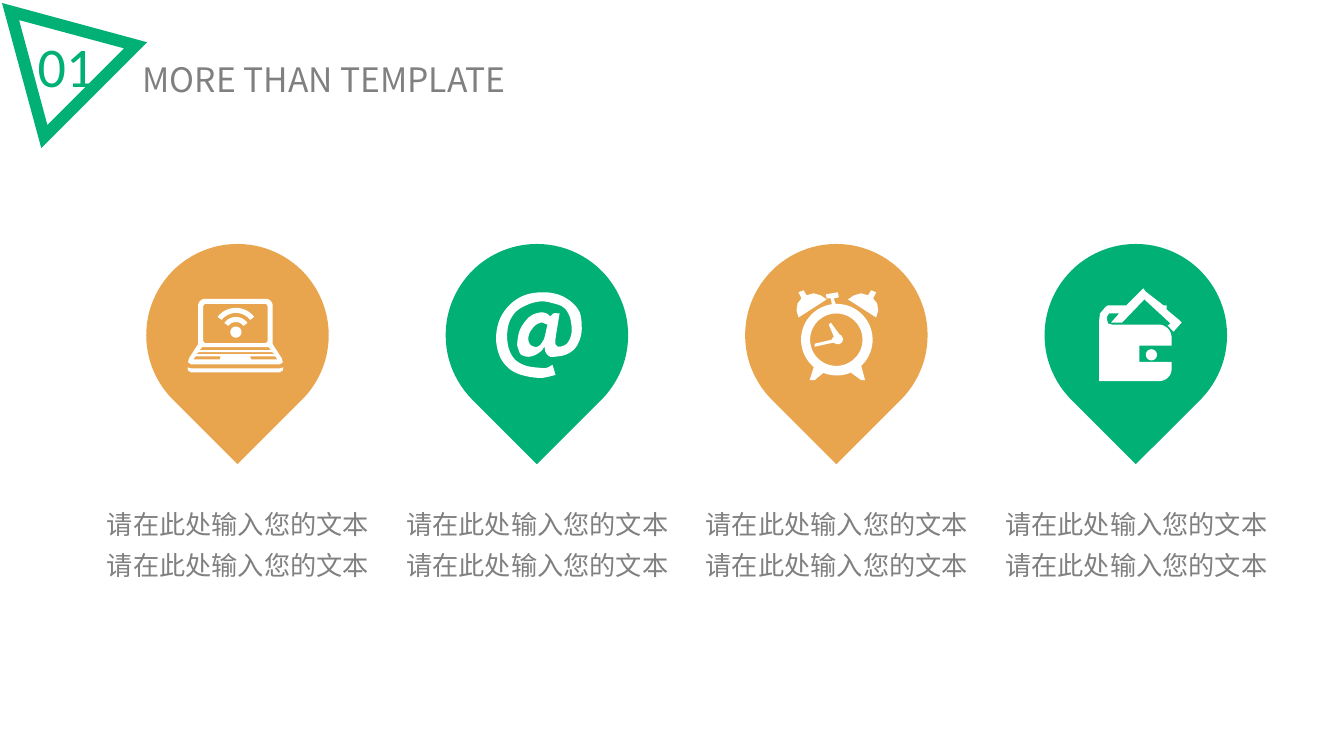
import math
from dataclasses import dataclass

from pptx import Presentation
from pptx.dml.color import RGBColor
from pptx.enum.shapes import MSO_SHAPE
from pptx.enum.text import MSO_ANCHOR, MSO_AUTO_SIZE, PP_ALIGN
from pptx.oxml.ns import qn
from pptx.util import Inches, Pt

TEARDROP = MSO_SHAPE.TEAR
TOP, MIDDLE = MSO_ANCHOR.TOP, MSO_ANCHOR.MIDDLE
GROW = MSO_AUTO_SIZE.SHAPE_TO_FIT_TEXT
CENTER = PP_ALIGN.CENTER
COMPARISON_LAYOUT = 4
COLUMNS, ROWS = 1333, 750


@dataclass(frozen=True)
class Theme:
    green: str = "00B075"
    orange: str = "E9A54E"
    gray: str = "808080"
    white: str = "FFFFFF"
    number_font: str = "Calibri"
    text_font: str = "Noto Sans CJK SC"
    number_size: float = 40
    title_size: float = 24
    caption_size: float = 18.7


def apply(target, values):
    for name, value in values.items():
        setattr(target, name, value)


def arc(x, y, radius, start, end):
    steps = max(2, round(abs(end - start) / 6))
    angles = [math.radians(start + (end - start) * step / steps) for step in range(steps + 1)]
    return [(x + radius * math.cos(angle), y + radius * math.sin(angle)) for angle in angles]


def circle(x, y, radius):
    return arc(x, y, radius, 0, 360)


def band(x, y, outer, inner, start, end):
    return arc(x, y, outer, start, end) + arc(x, y, inner, end, start)


def strip(left, right, top, bottom, left_foot, right_foot):
    return [(left, top), (right, top), (right_foot, bottom), (left_foot, bottom)]


def smooth(points, steps=4):
    nodes = [complex(*point) for point in points]
    count = len(nodes)
    curve = []

    def slope(index, side):
        before = nodes[index] - nodes[index - 1]
        after = nodes[(index + 1) % count] - nodes[index]
        cosine = (before.conjugate() * after).real / abs(before) / abs(after)
        return (before + after) / 2 if cosine > 0.65 else side

    for index, start in enumerate(nodes):
        following = (index + 1) % count
        end = nodes[following]
        leave, arrive = slope(index, end - start), slope(following, end - start)
        for step in range(steps):
            t = step / steps
            spot = (start * (1 + 2 * t) * (1 - t) ** 2 + leave * t * (1 - t) ** 2
                    + end * t * t * (3 - 2 * t) - arrive * t * t * (1 - t))
            curve.append((spot.real, spot.imag))
    return curve


LAPTOP = [
    arc(-30, -29, 7, 180, 270) + arc(30, -29, 7, 270, 360)
    + [(37, 9), (46, 23), (47, 27), (44, 29), (-44, 29), (-47, 27), (-46, 23), (-37, 9)],
    arc(-29, -28, 3, 180, 270) + arc(29, -28, 3, 270, 360)
    + arc(29, 5, 3, 0, 90) + arc(-29, 5, 3, 90, 180),
    strip(-33, 33, 12, 15, -35.5, 35.5),
    strip(-36.5, 36.5, 17, 19, -39, 39),
    strip(-39.5, -14.5, 21, 24, -41.5, -15.5),
    strip(14.5, 39.5, 21, 24, 15.5, 41.5),
    [(-47.5, 32), (-44, 33), (44, 33), (47.5, 32), (47, 35), (44, 37), (-44, 37), (-47, 35)],
    band(0.5, -4, 23, 18, 218, 322),
    band(0.5, -4, 14, 9, 215, 325),
    circle(0.5, -3, 5.5),
]

AT_SIGN = [
    smooth([
        (57, 21), (63, 21), (59, 46), (59, 52), (62, 54), (67, 53), (71, 50), (74, 44), (75, 36),
        (73, 24), (67, 15), (57, 11), (45, 9), (32, 12), (20, 19), (13, 30), (11, 44), (13, 57),
        (19, 67), (30, 73), (44, 75), (50, 75), (56, 72), (59, 82), (51, 84), (42, 85), (25, 82),
        (12, 75), (3, 62), (0, 44), (4, 26), (14, 12), (28, 3), (45, 0), (61, 2), (74, 9),
        (83, 20), (85, 36), (83, 47), (78, 56), (69, 62), (58, 64), (54, 64), (51, 62), (49, 59),
        (48, 54), (45, 58), (41, 61), (37, 63), (32, 64), (27, 63), (24, 61), (22, 56), (21, 51),
        (23, 39), (28, 30), (35, 23), (44, 20), (50, 21), (54, 24)]),
    smooth([
        (51, 32), (48, 31), (45, 30), (40, 32), (36, 36), (33, 41), (32, 47), (34, 52), (38, 54),
        (41, 54), (44, 52), (46, 49), (48, 45)]),
]

BELL = [(31, -44), (24, -46), (17, -44), (11, -40), (39, -22), (41, -29), (40, -36), (36, -41),
        (39, -47), (34, -49)]
CLOCK = [
    arc(0, 0, 35.5, 130, 262)
    + [(-6, -41), (-10, -41), (-11, -45), (1, -47), (2, -42), (-3, -41)]
    + arc(0, 0, 35.5, 268, 407) + [(28, 40), (24, 40)]
    + arc(0, 0, 35.5, 67, 112) + [(-22, 40), (-27, 40)],
    circle(-0.5, 0, 26),
    [(-4, -2), (-5, 0), (-22, 4), (-22, 7), (-4, 3)] + arc(1, -0.5, 5, 130, -70)
    + [(-6, -17), (-8, -15), (-3, -3)],
    BELL,
    [(1 - x, y) for x, y in BELL],
]

WALLET = [
    [(-27, -10)] + arc(19, 3, 13, 270, 360) + [(32, 11), (0, 11), (0, 27), (32, 27)]
    + arc(20, 34, 12, 0, 90)
    + [(-40, 46), (-40, -13), (-39, -21), (-33, -28), (-31, -29), (-13, -29), (4, -46), (6, -43),
       (24, -29), (27, -29), (27, -25), (39, -15), (42, -12), (34, -3), (28, -9), (31, -11),
       (5, -35), (-17, -12), (-28, -12), (-20, -21), (-30, -21), (-32, -18), (-32, -15),
       (-31, -11)],
    circle(12, 20, 5.5),
]

BADGE = [[(2, 3), (146, 42), (41, 147)], [(19, 20), (47, 124), (123, 48)]]


class SlideBuilder:
    def __init__(self, deck, theme):
        self.theme = theme
        self.page = deck.slides.add_slide(deck.slide_layouts[COMPARISON_LAYOUT])
        self.column = deck.slide_width / COLUMNS
        self.row = deck.slide_height / ROWS

    def place(self, left, top, width, height):
        return [round(left * self.column), round(top * self.row),
                round(width * self.column), round(height * self.row)]

    def paint(self, shape, color):
        shape.shadow.inherit = False
        shape.fill.solid()
        shape.fill.fore_color.rgb = RGBColor.from_string(color)
        shape.line.fill.background()

    def set_text(self, box, area, lines, font, size, color, anchor=MIDDLE, wrap=True, spacing=1.0):
        apply(box, dict(zip(("left", "top", "width", "height"), self.place(*area))))
        frame = box.text_frame
        frame.text = "\n".join(lines)
        apply(frame, {"word_wrap": wrap, "auto_size": GROW, "vertical_anchor": anchor})
        for para in frame.paragraphs:
            apply(para, {"alignment": CENTER, "line_spacing": spacing, "space_before": Pt(0)})
            settings = para._p.get_or_add_pPr()
            settings.set("marL", "0")
            settings.set("indent", "0")
            settings.append(settings.makeelement(qn("a:buNone"), {}))
            for span in para.runs:
                apply(span.font, {"name": font, "size": Pt(size), "bold": False})
                span.font.color.rgb = RGBColor.from_string(color)
                latin = span.font._element.find(qn("a:latin"))
                latin.addnext(latin.makeelement(qn("a:ea"), {"typeface": font}))

    def outline(self, contours, color, x=0, y=0):
        rings = [[((x + a) * self.column, (y + b) * self.row) for a, b in contour]
                 for contour in contours]
        builder = self.page.shapes.build_freeform(*rings[0][0])
        for index, points in enumerate(rings):
            if index:
                builder.move_to(*points[0])
            builder.add_line_segments(points[1:], close=True)
        self.paint(builder.convert_to_shape(), color)

    def pin(self, center, middle, size, color):
        area = self.place(center - size / 2, middle - size / 2, size, size)
        shape = self.page.shapes.add_shape(TEARDROP, *area)
        shape.rotation = 135
        self.paint(shape, color)

    def number(self, text, area):
        box = self.page.shapes.add_textbox(*self.place(*area))
        self.set_text(box, area, [text], self.theme.number_font, self.theme.number_size,
                      self.theme.green, wrap=False)

    def title(self, text, area):
        self.set_text(self.page.shapes.title, area, [text], self.theme.text_font,
                      self.theme.title_size, self.theme.gray)

    def caption(self, index, lines, area):
        self.set_text(self.page.placeholders[index], area, lines, self.theme.text_font,
                      self.theme.caption_size, self.theme.gray, anchor=TOP, spacing=1.3)


def main():
    deck = Presentation()
    deck.slide_width, deck.slide_height = Inches(13.33), Inches(7.5)
    theme = Theme()
    slide = SlideBuilder(deck, theme)
    slide.number("01", (27, 26, 77, 77))
    slide.outline(BADGE, theme.green)
    slide.title("MORE THAN TEMPLATE", (81, 53, 481, 51))
    first_center, pitch, middle = 235.5, 297, 332.5
    icons = [(LAPTOP, -2, 0), (AT_SIGN, -40.5, -42.5), (CLOCK, 0.5, 4.5), (WALLET, 3.5, -0.5)]
    for index, (icon, shift, drop) in enumerate(icons):
        center = first_center + pitch * index
        slide.pin(center, middle, 181, theme.green if index % 2 else theme.orange)
        slide.outline(icon, theme.white, center + shift, middle + drop)
        slide.caption(index + 1, ["请在此处输入您的文本"] * 2, (center - 145.5, 490, 292, 92))
    deck.save("out.pptx")


if __name__ == "__main__":
    main()
